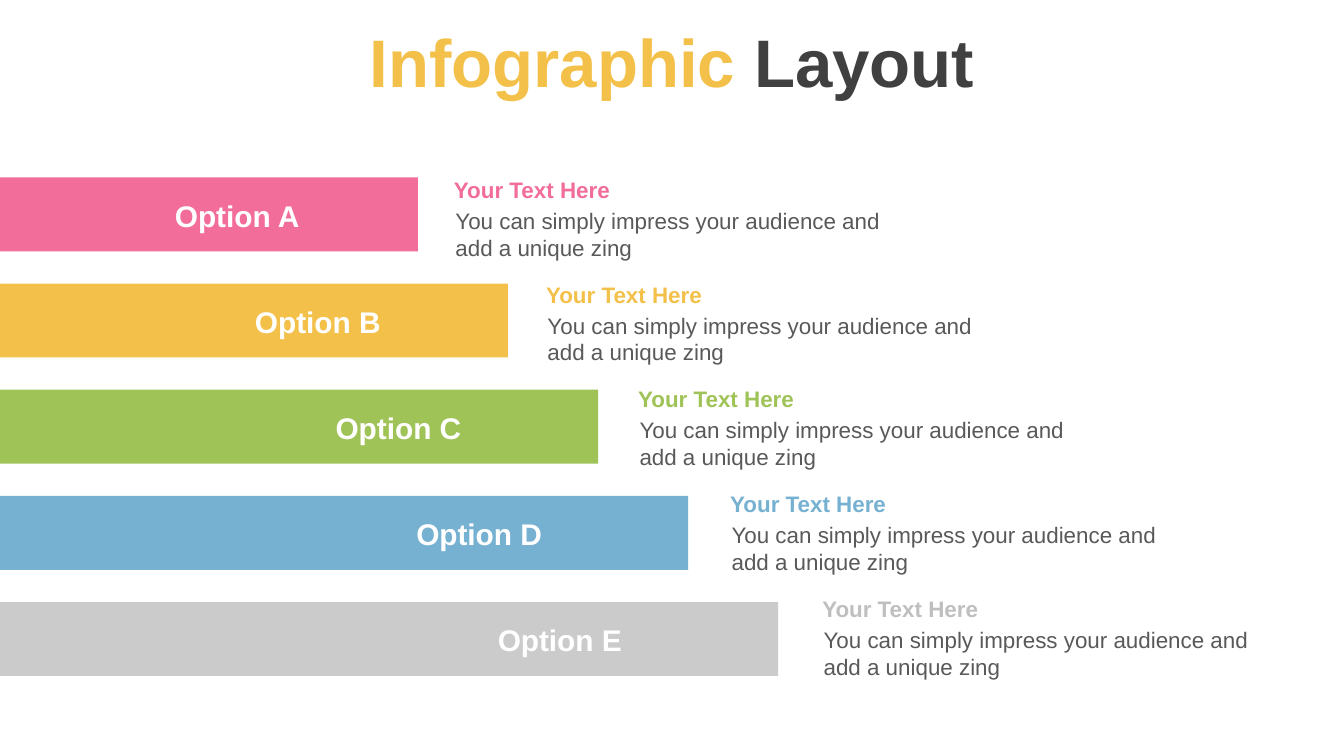
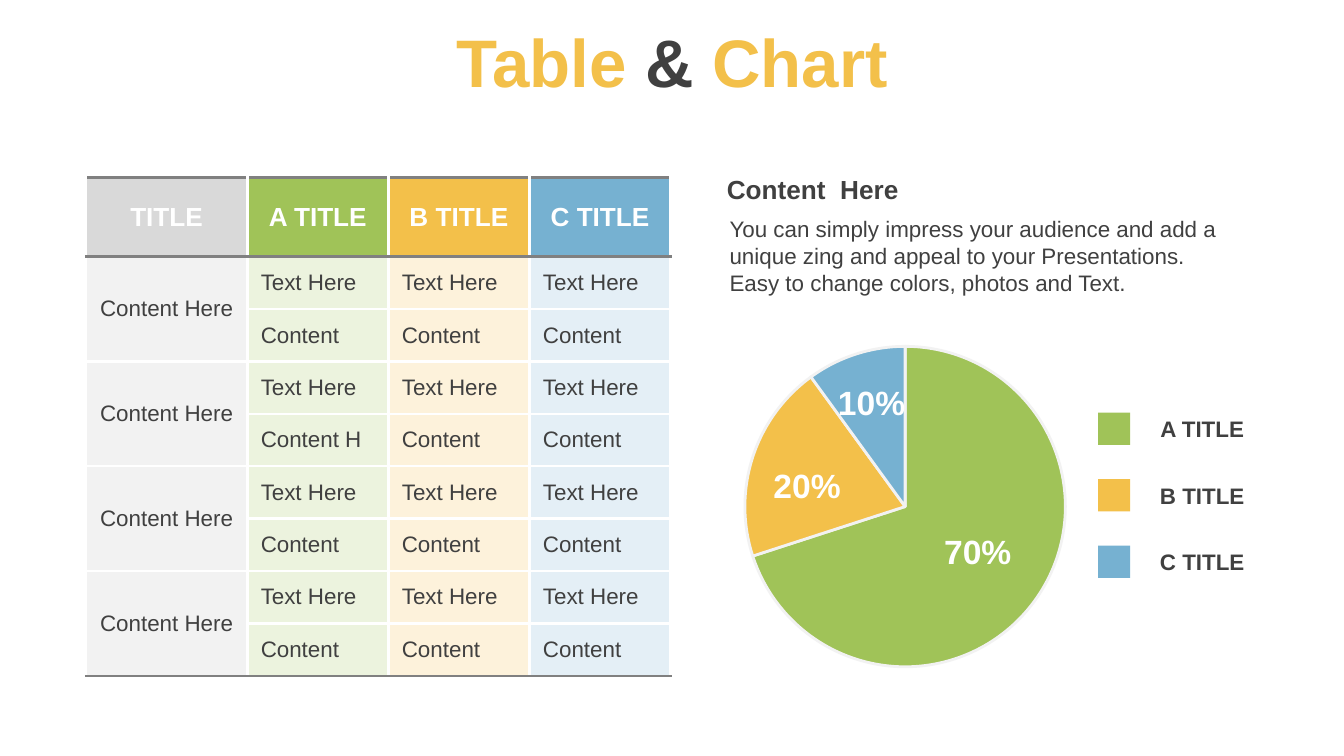
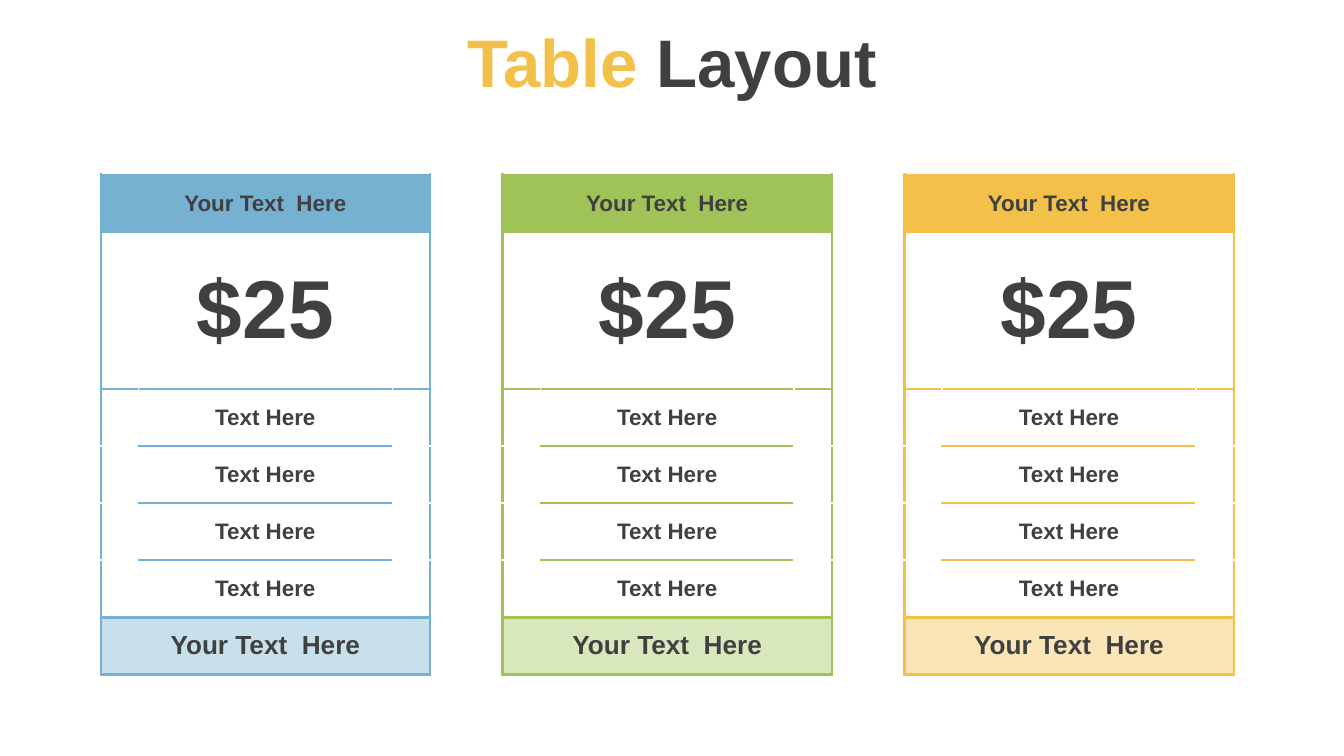
from lxml import etree
from pptx import Presentation
from pptx.chart.data import CategoryChartData
from pptx.dml.color import RGBColor
from pptx.enum.chart import XL_CHART_TYPE as ChartType
from pptx.enum.shapes import MSO_SHAPE as Shape
from pptx.enum.text import MSO_ANCHOR as Anchor, MSO_AUTO_SIZE as AutoSize, PP_ALIGN as Align
from pptx.oxml import parse_xml
from pptx.oxml.ns import nsdecls, qn
from pptx.util import Emu, Pt

PX = 914400 // 200
FONT = "Arial"
PINK, YELLOW, GREEN, BLUE, SILVER = "F26D9A", "F3C04A", "A0C358", "76B1D1", "CBCBCB"
DARK, BODY, RULE, WHITE = "404040", "595959", "808080", "FFFFFF"
TITLE_ONLY = 5


def px(*lengths):
    return [Emu(length * PX) for length in lengths]


def rgb(value):
    return RGBColor.from_string(value)


def write_text(frame, text, size=12, color=DARK, bold=False, align=Align.LEFT):
    """Fill the first paragraph; text is a string or a list of (string, colour) spans."""
    para = frame.paragraphs[0]
    para.alignment = align
    spans = [(text, color)] if isinstance(text, str) else text
    for words, span_color in spans:
        span = para.add_run()
        span.text = words
        font = span.font
        font.name, font.size, font.bold = FONT, Pt(size), bold
        font.color.rgb = rgb(span_color)


class Deck:
    def __init__(self):
        self.deck = Presentation()
        self.deck.slide_width, self.deck.slide_height = px(2000, 1125)
        self.page = None

    def add_page(self, *title_spans):
        self.page = self.deck.slides.add_slide(self.deck.slide_layouts[TITLE_ONLY])
        title = self.page.shapes.title
        title.left, title.top, title.width, title.height = px(0, 6, 2000, 170)
        title.text_frame.auto_size = AutoSize.NONE
        title.text_frame.vertical_anchor = Anchor.MIDDLE
        write_text(title.text_frame, title_spans, size=36, bold=True, align=Align.CENTER)

    def text(self, at, text, anchor=Anchor.TOP, **style):
        frame = self.page.shapes.add_textbox(*px(*at)).text_frame
        frame.word_wrap = True
        frame.auto_size = AutoSize.SHAPE_TO_FIT_TEXT
        frame.vertical_anchor = anchor
        write_text(frame, text, **style)

    def rect(self, at, color):
        box = self.page.shapes.add_shape(Shape.RECTANGLE, *px(*at))
        box.shadow.inherit = False
        box.fill.solid()
        box.fill.fore_color.rgb = rgb(color)
        box.line.fill.background()

    def table(self, left, top, widths, heights):
        frame = self.page.shapes.add_table(
            len(heights), len(widths), *px(left, top, sum(widths), sum(heights)))
        table = frame.table
        table.first_row = table.horz_banding = False
        for column, width in zip(table.columns, px(*widths)):
            column.width = width
        for row, height in zip(table.rows, px(*heights)):
            row.height = height
        return table

    def cell(self, table, row, col, text, fill, edges, span=(1, 1), opacity=100, **style):
        """Format a cell; edges maps the sides L, R, T, B to (colour, points)."""
        first = table.cell(row, col)
        last_row, last_col = row + span[0], col + span[1]
        if span != (1, 1):
            first.merge(table.cell(last_row - 1, last_col - 1))
        for part in [table.cell(r, c) for r in range(row, last_row) for c in range(col, last_col)]:
            properties = part._tc.get_or_add_tcPr()
            for side in "LRTB":
                if side in edges:
                    color, points = edges[side]
                    properties.append(parse_xml(
                        f'<a:ln{side} {nsdecls("a")} w="{Pt(points)}"><a:solidFill>'
                        f'<a:srgbClr val="{color}"/></a:solidFill></a:ln{side}>'))
            part.fill.solid()
            part.fill.fore_color.rgb = rgb(fill)
            if opacity < 100:
                shade = properties.find(qn("a:solidFill")).find(qn("a:srgbClr"))
                etree.SubElement(shade, qn("a:alpha")).set("val", str(opacity * 1000))
        first.vertical_anchor = Anchor.MIDDLE
        if text:
            write_text(first.text_frame, text, **style)

    def pie(self, at, values, colors):
        data = CategoryChartData()
        data.categories = [str(number) for number in range(1, len(values) + 1)]
        data.add_series("Series 1", values)
        chart = self.page.shapes.add_chart(ChartType.PIE, *px(*at), data).chart
        chart.has_legend = chart.has_title = False
        chart.font.name, chart.font.size = FONT, Pt(18)
        chart.font.color.rgb = rgb("000000")
        plot = chart.plots[0]
        plot.vary_by_categories = True
        for index, color in enumerate(colors):
            look = plot.series[0].points[index].format
            look.fill.solid()
            look.fill.fore_color.rgb = rgb(color)
            look.line.color.rgb = rgb("F2F2F2")
            look.line.width = Pt(1.5)
        area = chart._chartSpace.chart.plotArea
        for old in area.findall(qn("c:layout")):
            area.remove(old)
        area.insert(0, parse_xml(
            f'<c:layout {nsdecls("c")}><c:manualLayout><c:layoutTarget val="inner"/>'
            '<c:xMode val="edge"/><c:yMode val="edge"/><c:x val="0.05"/><c:y val="0.05"/>'
            '<c:w val="0.9"/><c:h val="0.9"/></c:manualLayout></c:layout>'))


def options_page(deck):
    deck.add_page(("Infographic ", YELLOW), ("Layout", DARK))
    options = zip("ABCDE", [PINK, YELLOW, GREEN, BLUE, SILVER],
                  [PINK, YELLOW, GREEN, BLUE, "BFBFBF"])
    for step, (letter, bar_color, heading_color) in enumerate(options):
        bar_top = 264 + 158 * step
        deck.rect((0, bar_top, 622 + 134 * step, 110), bar_color)
        deck.text((221 + 120 * step, bar_top + 20, 264, 74), f"Option {letter}",
                  size=16, color=WHITE, bold=True, align=Align.CENTER)
        left, top = 656 + 137 * step, 252 + 156 * step
        deck.text((left, top, 672, 60), "Your Text Here", color=heading_color, bold=True)
        deck.text((left + 2, top + 46, 678, 100),
                  "You can simply impress your audience and add a unique zing", color=BODY)


def content_table(deck):
    table = deck.table(128, 264, [240] + [210] * 3, [118] + [78] * 8)

    def edges(first_row, last_row):
        return {"L": (WHITE, 1.5), "R": (WHITE, 1.5),
                "T": (RULE if first_row in (0, 1) else WHITE, 1.5),
                "B": (RULE if last_row in (0, 8) else WHITE, 1.5)}

    headers = [("TITLE", "D9D9D9"), ("A TITLE", GREEN), ("B TITLE", YELLOW), ("C TITLE", BLUE)]
    for col, (header, color) in enumerate(headers):
        deck.cell(table, 0, col, header, color, edges(0, 0),
                  size=14, color=WHITE, bold=True, align=Align.CENTER)
    for row in range(1, 9, 2):
        deck.cell(table, row, 0, "Content Here", "F2F2F2", edges(row, row + 1),
                  span=(2, 1), align=Align.CENTER)
    for col, tint in enumerate(["ECF3DE", "FDF2DB", "E4EFF6"], start=1):
        for row in range(1, 9):
            words = "Text Here" if row % 2 else "Content"
            if (row, col) == (4, 1):
                words = "Content H"
            deck.cell(table, row, col, words, tint, edges(row, row))


def chart_page(deck):
    deck.add_page(("Table", YELLOW), (" & ", DARK), ("Chart", YELLOW))
    content_table(deck)
    deck.text((1062, 248, 788, 68), "Content  Here", anchor=Anchor.MIDDLE, size=14, bold=True)
    deck.text((1066, 310, 784, 142),
              "You can simply impress your audience and add a unique zing and appeal to your "
              "Presentations. Easy to change colors, photos and Text.")
    shares, colors = [70, 20, 10], [GREEN, YELLOW, BLUE]
    deck.pie((1082, 488, 530, 532), shares, colors)
    for share, (left, top) in zip(shares, [(1378, 780), (1124, 682), (1220, 558)]):
        deck.text((left, top, 154, 80), f"{share}%", anchor=Anchor.MIDDLE,
                  size=18, color=WHITE, bold=True, align=Align.CENTER)
    for index, (letter, color) in enumerate(zip("ABC", colors)):
        top = 614 + 99 * index
        deck.rect((1634, top, 48, 48), color)
        deck.text((1680, top - 6, 218, 60), f"{letter} TITLE", anchor=Anchor.MIDDLE,
                  bold=True, align=Align.CENTER)


def price_card(deck, left, color):
    table = deck.table(left, 260, [56, 378, 56], [85, 234] + [85] * 5)
    thick, thin = (color, 1.5), (color, 1)
    frame = dict.fromkeys("LRTB", thick)
    style = {"bold": True, "align": Align.CENTER}
    deck.cell(table, 0, 0, "Your Text  Here", color, frame, span=(1, 3), **style)
    deck.cell(table, 1, 0, "$25", WHITE, dict.fromkeys("LRT", thick), span=(1, 3),
              size=44, **style)
    for row in range(2, 6):
        base = {"B": thick} if row == 5 else {}
        deck.cell(table, row, 0, "", WHITE, {"L": thick, **base})
        deck.cell(table, row, 1, "Text Here", WHITE, {"T": thin, "B": thin, **base}, **style)
        deck.cell(table, row, 2, "", WHITE, {"R": thick, **base})
    deck.cell(table, 6, 0, "Your Text  Here", color, frame, span=(1, 3), opacity=40,
              size=14, **style)


def prices_page(deck):
    deck.add_page(("Table ", YELLOW), ("Layout", DARK))
    for index, color in enumerate([BLUE, GREEN, YELLOW]):
        price_card(deck, 150 + 598 * index, color)


def main():
    deck = Deck()
    options_page(deck)
    chart_page(deck)
    prices_page(deck)
    deck.deck.save("out.pptx")


if __name__ == "__main__":
    main()
